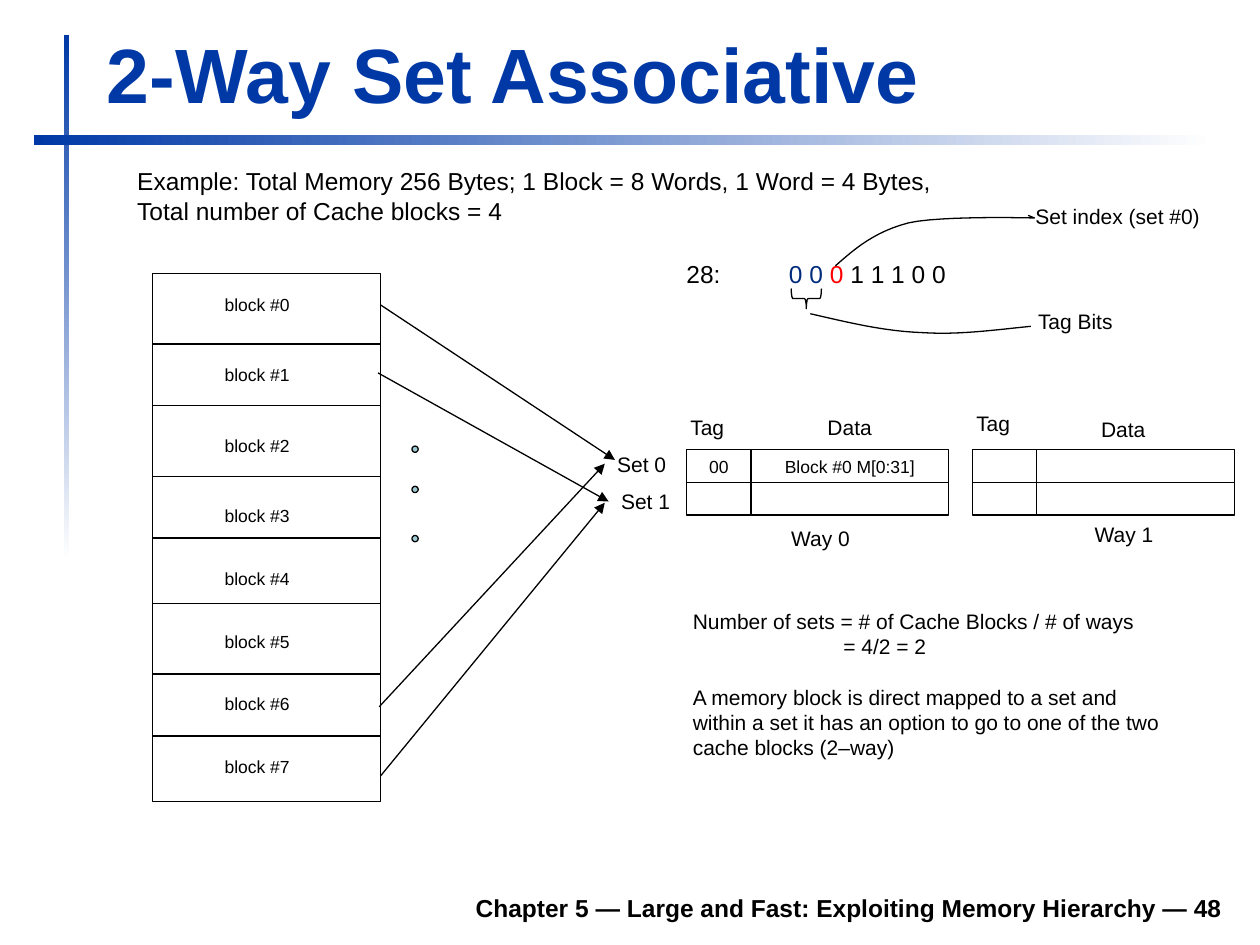
from lxml import etree
from pptx import Presentation
from pptx.dml.color import RGBColor
from pptx.enum.shapes import MSO_CONNECTOR, MSO_SHAPE
from pptx.enum.text import MSO_ANCHOR, PP_ALIGN
from pptx.oxml.ns import qn
from pptx.util import Pt

RECT, OVAL, BRACE = MSO_SHAPE.RECTANGLE, MSO_SHAPE.OVAL, MSO_SHAPE.RIGHT_BRACE
LINE = MSO_CONNECTOR.STRAIGHT
LEFT, MID, RIGHT = PP_ALIGN.LEFT, PP_ALIGN.CENTER, PP_ALIGN.RIGHT
TOP, CENTER, BASE = MSO_ANCHOR.TOP, MSO_ANCHOR.MIDDLE, MSO_ANCHOR.BOTTOM
rgb = RGBColor.from_string
BLUE, NAVY, RED, BLACK = "0039A6", "002B7D", "FF0000", "000000"

deck = Presentation()
deck.slide_width, deck.slide_height = Pt(720), Pt(540)
slide = deck.slides.add_slide(deck.slide_layouts[6])
shapes = slide.shapes


def text(words, box, size=12, color=BLACK, bold=False, align=LEFT,
         anchor=TOP, wrap=False):
    """Write lines of text, or one line of (text, colour) runs, in a box."""
    if isinstance(box, tuple):
        box = shapes.add_textbox(*map(Pt, box))
    frame = box.text_frame
    frame.word_wrap, frame.vertical_anchor = wrap, anchor
    if isinstance(words, str):
        lines = [[(line, color)] for line in words.split("\n")]
    else:
        lines = [words]
    for i, line in enumerate(lines):
        para = frame.paragraphs[0] if i == 0 else frame.add_paragraph()
        para.alignment = align
        for part, tint in line:
            run = para.add_run()
            run.text = part
            run.font.name, run.font.size = "Arial", Pt(size)
            run.font.bold = bold
            run.font.color.rgb = rgb(tint)
    return frame.paragraphs


def style(shape, fill=None):
    """Give a shape a thin black line and a plain fill or none."""
    shape.shadow.inherit = False
    shape.line.color.rgb = rgb(BLACK)
    shape.line.width = Pt(0.75)
    if fill:
        shape.fill.solid()
        shape.fill.fore_color.rgb = rgb(fill)
    else:
        shape.fill.background()
    return shape


# Fading bars
for box, angle in [((36.7, 20.2, 2.9, 300), 270), ((19.4, 77, 674.6, 5.8), 0)]:
    bar = shapes.add_shape(RECT, *map(Pt, box))
    bar.shadow.inherit = False
    bar.line.fill.background()
    bar.fill.gradient()
    bar.fill.gradient_angle = angle
    for stop, tint in zip(bar.fill.gradient_stops, (BLUE, "FFFFFF")):
        stop.color.rgb = rgb(tint)

# Title, example and footer
text("2-Way Set Associative", (54, 10.8, 650, 60.5), size=44, color=BLUE,
     bold=True, anchor=BASE, wrap=True)
text("Example: Total Memory 256 Bytes; 1 Block = 8 Words, 1 Word = 4 Bytes,\n"
     "Total number of Cache blocks = 4", (71.3, 91.4, 478.8, 41), size=14)
text("Chapter 5 — Large and Fast: Exploiting Memory Hierarchy — 48",
     (133.2, 502.6, 572.4, 28), size=14, bold=True, align=RIGHT,
     anchor=BASE, wrap=True)

# Memory column
style(shapes.add_shape(RECT, Pt(87), Pt(156.2), Pt(130.4), Pt(301.7)))
tops = [164.2, 204.5, 244.8, 285.1, 321.1, 357.1, 392.4, 428.4]
for i, top in enumerate(tops):
    text(f"block #{i}", (121.3, top, 65.5, 20.2), size=10, wrap=True)

# Block dividers, then arrows from blocks to sets
cuts = [196.6, 231.8, 272.2, 307.4, 344.9, 385.2, 420.5]
links = [(87, y, 217.4, y) for y in cuts]
arrows = [(217.4, 174.2, 351.4, 262.8), (216, 213.1, 347.8, 286.6),
          (216.7, 403.9, 345.6, 265), (217.4, 443.5, 345.6, 287.3)]
for ends in links + arrows:
    link = shapes.add_connector(LINE, *map(Pt, ends))
    link.line.color.rgb = rgb(BLACK)
    link.line.width = Pt(0.75)
    if ends in arrows:
        etree.SubElement(link.line._get_or_add_ln(), qn("a:tailEnd"),
                         type="triangle")
    etree.SubElement(link._element.spPr, qn("a:effectLst"))

# Dots for further blocks
for y in (254.9, 277.9, 306):
    style(shapes.add_shape(OVAL, Pt(235.4), Pt(y), Pt(3.6), Pt(3.6)), "9FCAD3")

# Cache ways: two sets of tag and data each
filled = {(0, 0, 0): "00", (0, 0, 1): "Block #0 M[0:31]"}
for way, left in enumerate((392.4, 555.8)):
    for row in range(2):
        for col, (dx, wide) in enumerate([(0, 36.7), (36.7, 113)]):
            cell = style(shapes.add_shape(
                RECT, Pt(left + dx), Pt(257 + 18.7 * row), Pt(wide), Pt(18.7)))
            if (way, row, col) in filled:
                text(filled[way, row, col], cell, size=10, align=MID,
                     anchor=CENTER)

# Cache and address labels
for words, x, y, wide in [
        ("Tag", 387.4, 233.3, 33.8), ("Data", 465.8, 233.3, 40.3),
        ("Tag", 550.8, 231.1, 33.8), ("Data", 622.1, 234.7, 40.3),
        ("Way 0", 445, 296.6, 48.2), ("Way 1", 618.5, 294.5, 48.2),
        ("Set 0", 345.6, 254.2, 42.5), ("Set 1", 347.8, 275.8, 42.5),
        ("Set index (set #0)", 584.6, 113, 109.4),
        ("Tag Bits", 586.1, 172.8, 57.6)]:
    text(words, (x, y, wide, 21.6))

# Address bits, set off by a tab stop
bits = text([("28:\t", BLACK), ("0 0", NAVY), (" 0 ", RED),
             ("1 1 1 0 0", BLACK)], (385.2, 144.7, 163.4, 24.5), size=14)
tabs = etree.SubElement(bits[0]._p.get_or_add_pPr(), qn("a:tabLst"))
etree.SubElement(tabs, qn("a:tab"), pos=str(Pt(58.5)), algn="l")

# Brace under the tag bits
brace = style(shapes.add_shape(BRACE, Pt(455), Pt(162), Pt(11.5), Pt(17.3)))
brace.rotation = 90

# Curved pointers: start, Bezier pieces, closing tick
curves = [
    ((477.4, 151.9),
     [((488.9, 141.8), (499.7, 132.5), (519.1, 127.4)),
      ((538, 123.1), (591.1, 124.6), (591.1, 124.6))], [(587.5, 123.1)]),
    ((463, 179.3),
     [((484.6, 184.3), (505.4, 189.4), (527, 190.1)),
      ((547.9, 191.5), (568.1, 188.6), (589, 186.5))], [])]
for start, pieces, tick in curves:
    spots, a = [], start
    for b, c, d in pieces:
        for t in (n / 12 for n in range(1, 13)):
            s = 1 - t
            spots.append([s**3 * p + 3 * s * s * t * q + 3 * s * t * t * r
                          + t**3 * e for p, q, r, e in zip(a, b, c, d)])
        a = d
    path = shapes.build_freeform(Pt(start[0]), Pt(start[1]))
    path.add_line_segments([(Pt(x), Pt(y)) for x, y in spots + tick],
                           close=False)
    style(path.convert_to_shape())

# Notes on the number of sets
notes = text("Number of sets = # of Cache Blocks / # of ways\n= 4/2 = 2\n"
             "A memory block is direct mapped to a set and\n"
             "within a set it has an option to go to one of the two\n"
             "cache blocks (2–way)", (388.8, 344.2, 287.3, 94.3))
notes[1]._p.get_or_add_pPr().set("marL", str(Pt(86)))
notes[2].space_before = Pt(14.4)

deck.save("out.pptx")
